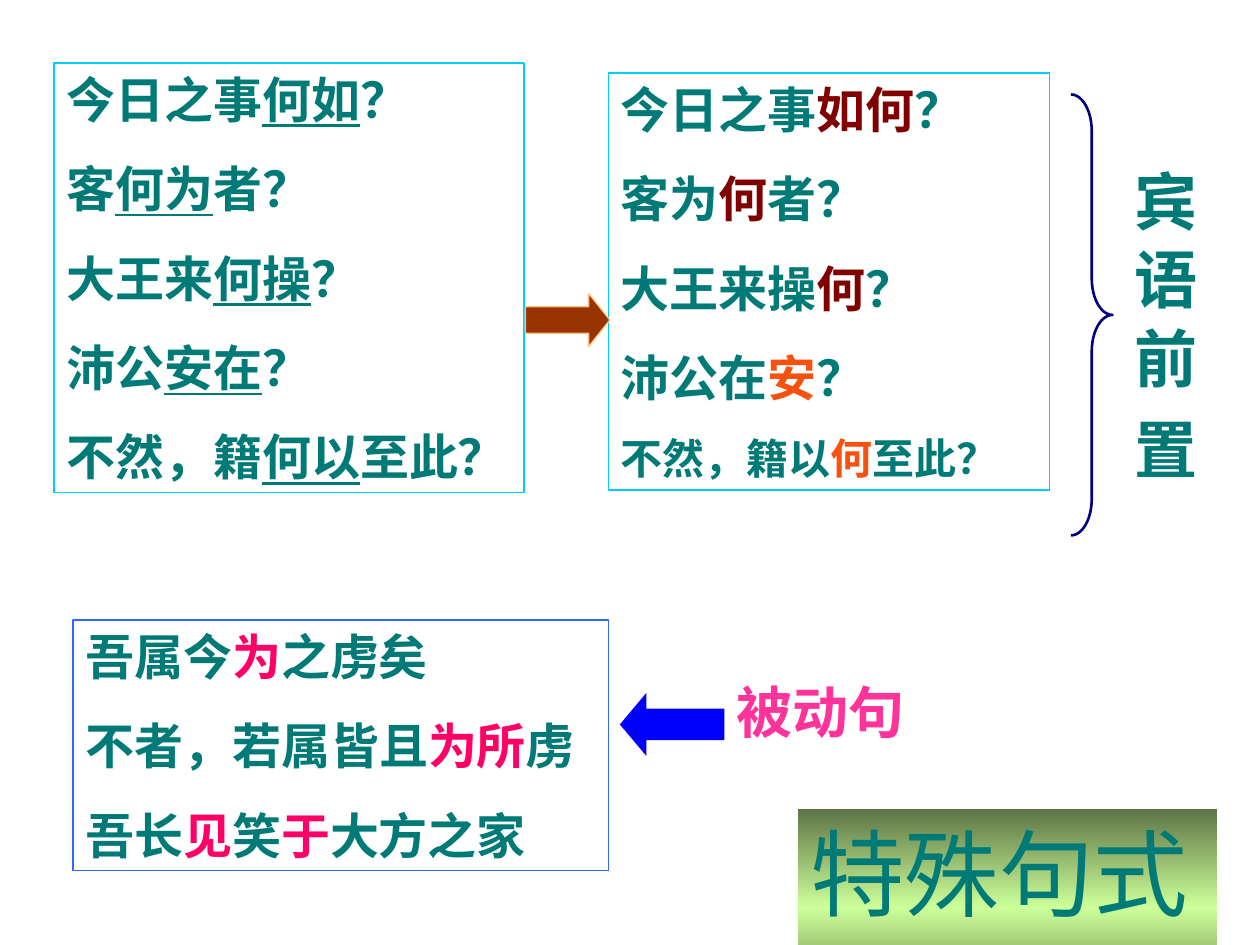
import copy
import pptx
import pptx.util
import pptx.dml.color
import pptx.enum.shapes
import pptx.enum.text
import pptx.oxml.ns

Inches = pptx.util.Inches
SHAPES = pptx.enum.shapes.MSO_SHAPE
COLOURS = {
    "teal": "007A77", "maroon": "800000", "orange": "F7510F", "rose": "FF0066",
    "pink": "FF3399", "cyan": "00CCFF", "royal": "3366FF", "navy": "000080",
    "blue": "0000FF", "brown": "993300", "peach": "FFC183",
    "olive": "5E7546", "lime": "CCFF99",
}
FONT = "Times New Roman"
TITLE = "特殊句式"
TITLE_AT = (6.33, 6.42, 3.33, 1)
UNDERLINED = {"underline": True}
MAROON, ORANGE, ROSE = ({"colour": name} for name in ("maroon", "orange", "rose"))
WIDE = {"spacing": 9}

INVERTED = [
    (28, [("今日之事", {}), ("何如", UNDERLINED), ("？", {})]),
    (28, [("客", {}), ("何为", UNDERLINED), ("者？", {})]),
    (28, [("大王来", {}), ("何操", UNDERLINED), ("？", {})]),
    (28, [("沛公", {}), ("安在", UNDERLINED), ("？", {})]),
    (28, [("不然，籍", {}), ("何以", UNDERLINED), ("至此？", {})]),
]
NORMAL = [
    (28, [("今日之事", {}), ("如何", MAROON), ("？", {})]),
    (28, [("客为", {}), ("何", MAROON), ("者？", {})]),
    (28, [("大王来操", {}), ("何", MAROON), ("？", {})]),
    (28, [("沛公在", {}), ("安", ORANGE), ("？", {})]),
    (24, [("不然，籍以", {}), ("何", ORANGE), ("至此？", {})]),
]
PASSIVE = [
    (28, [("吾属今", {}), ("为", ROSE), ("之虏矣", {})]),
    (28, [("不者，若属皆且", {}), ("为所", ROSE), ("虏", {})]),
    (28, [("吾长", {}), ("见", ROSE), ("笑", {}), ("于", ROSE), ("大方之家", {})]),
]
FRAMES = [
    ((0.43, 0.5, 3.73, 3.41), "cyan", INVERTED),
    ((4.83, 0.58, 3.5, 3.31), "cyan", NORMAL),
    ((0.58, 4.92, 4.25, 1.99), "royal", PASSIVE),
]
OBJECT_LABEL = [(36, [("宾 语 前", {}), (" ", WIDE), ("置", {})])]
PASSIVE_LABEL = [(32, [("被动句", {"colour": "pink"})])]
SYMBOLS = [
    (SHAPES.RIGHT_BRACE, (8.5, 0.75, 0.33, 3.5), (0.88, 0.5), None, "navy", 1.5),
    (SHAPES.LEFT_ARROW, (4.92, 5.5, 0.83, 0.5), (0.5, 0.42), "blue", None, 0),
    (SHAPES.RIGHT_ARROW, (4.17, 2.33, 0.67, 0.42), (0.5, 0.4), "brown", "peach", 0.75),
]


def rgb(name):
    return pptx.dml.color.RGBColor.from_string(COLOURS[name])


def set_all(target, values):
    for name, value in values.items():
        setattr(target, name, value)


def paint(shape, fill, line, width):
    if fill:
        shape.fill.solid()
        shape.fill.fore_color.rgb = rgb(fill)
    else:
        shape.fill.background()
    if line:
        shape.line.color.rgb = rgb(line)
        shape.line.width = pptx.util.Pt(width)
    else:
        shape.line.fill.background()


def add_preset(page, kind, place):
    shape = page.shapes.add_shape(kind, *map(Inches, place))
    shape.shadow.inherit = False
    return shape


def write(box, lines, bold=True, across=0.1, down=0.05):
    frame = box.text_frame
    set_all(frame, {
        "word_wrap": True,
        "auto_size": pptx.enum.text.MSO_AUTO_SIZE.SHAPE_TO_FIT_TEXT,
        "vertical_anchor": pptx.enum.text.MSO_ANCHOR.TOP,
        "margin_left": Inches(across), "margin_right": Inches(across),
        "margin_top": Inches(down), "margin_bottom": Inches(down),
    })
    for index, (size, spans) in enumerate(lines):
        para = frame.add_paragraph() if index else frame.paragraphs[0]
        para.alignment = pptx.enum.text.PP_ALIGN.LEFT
        para.space_before = pptx.util.Pt(size * 0.625 if index else 0)
        for text, style in spans:
            span = para.add_run()
            span.text = text
            set_all(span.font, {
                "name": FONT, "size": pptx.util.Pt(size), "bold": bold,
                "underline": style.get("underline", False),
            })
            span.font.color.rgb = rgb(style.get("colour", "teal"))
            if "spacing" in style:
                span.font._element.set("spc", str(style["spacing"] * 100))


def add_label(page, place, lines, **margins):
    label = page.shapes.add_textbox(*map(Inches, place))
    write(label, lines, **margins)
    return label


def add_title(page):
    title = page.shapes.title
    set_all(title, dict(zip(("left", "top", "width", "height"), map(Inches, TITLE_AT))))
    title.fill.gradient()
    title.fill.gradient_angle = 90
    stops = title.fill.gradient_stops
    first = stops[0]._gs
    first.addnext(copy.deepcopy(first))
    for stop, position, colour in zip(title.fill.gradient_stops, (0, 0.5, 1),
                                      ("olive", "lime", "olive")):
        stop.position = position
        stop.color.rgb = rgb(colour)
    write(title, [(54, [(TITLE, {})])], bold=False)


def main():
    deck = pptx.Presentation()
    set_all(deck, {"slide_width": Inches(10), "slide_height": Inches(7.5)})
    page = deck.slides.add_slide(deck.slide_layouts[5])
    add_title(page)
    for place, line, lines in FRAMES:
        frame = add_preset(page, SHAPES.RECTANGLE, place)
        paint(frame, None, line, 0.75)
        write(frame, lines)
    for kind, place, adjustments, fill, line, width in SYMBOLS:
        symbol = add_preset(page, kind, place)
        paint(symbol, fill, line, width)
        for index, value in enumerate(adjustments):
            symbol.adjustments[index] = value
    label = add_label(page, (8.79, 1.25, 0.8, 3.08), OBJECT_LABEL, across=0.05, down=0.1)
    label.text_frame._txBody.find(pptx.oxml.ns.qn("a:bodyPr")).set("vert", "eaVert")
    add_label(page, (5.75, 5.33, 1.83, 0.64), PASSIVE_LABEL)
    deck.save("out.pptx")


if __name__ == "__main__":
    main()
